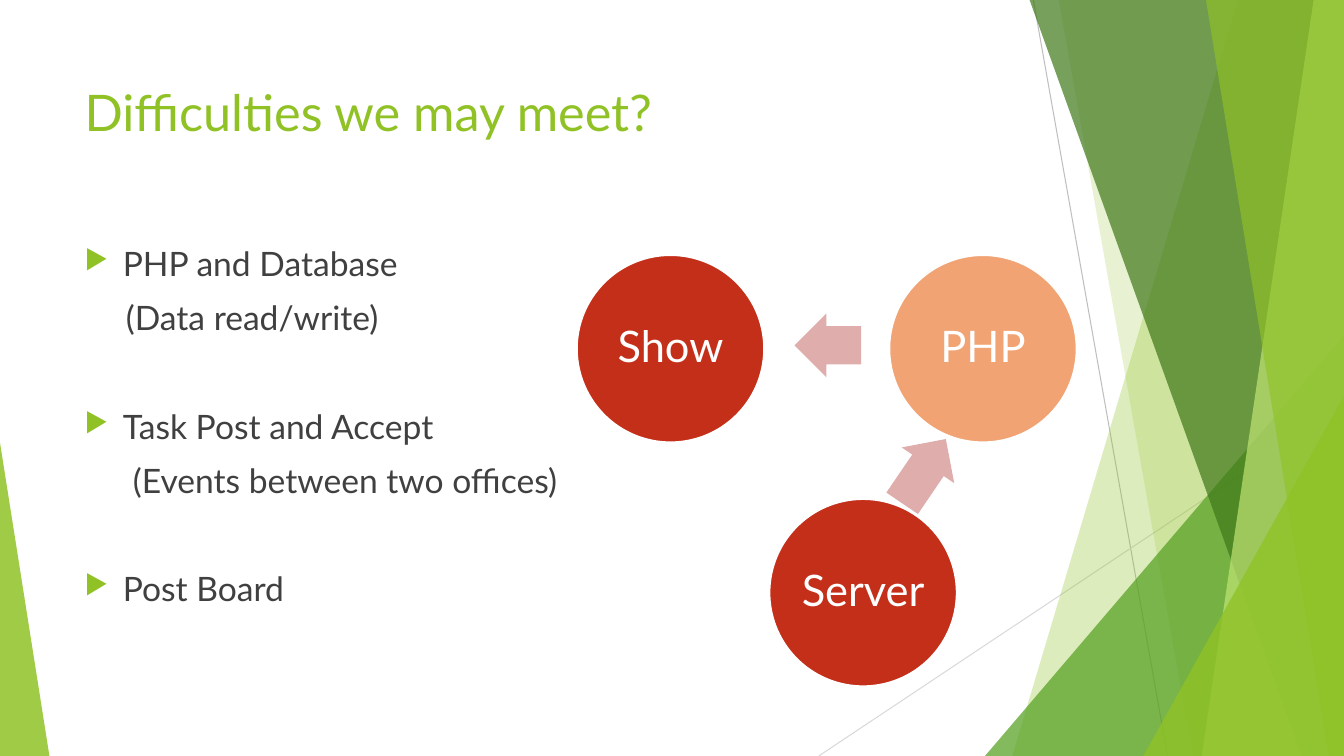
import pptx
import pptx.util
import pptx.dml.color
import pptx.enum.shapes
import pptx.enum.text
import pptx.oxml.ns
from lxml import etree

# Content: every place and length is a percentage of the slide's width or height
FONT = "Lato"
COLOURS = {
    "lime": "90C226", "green": "54A021", "forest": "3F7819", "pale": "C0E474",
    "grey": "BFBFBF", "mist": "D9D9D9", "text": "404040", "white": "FFFFFF",
    "red": "C42F1A", "peach": "F1A374", "rose": "DEADAC",
}
TITLE = "Difficulties we may meet?"
TITLE_BOX = (5.55, 10.13, 70.52, 19.2)
BODY_BOX = (5.55, 31.47, 70.52, 61.6)
# text, has a bullet, indent in inches, points before
BODY = [
    ("PHP and Database", True, 0.38, 10),
    ("(Data read/write)", False, 0.41, 10),
    ("Task Post and Accept", True, 0.38, 48.5),
    ("(Events between two offices)", False, 0.48, 10),
    ("Post Board", True, 0.38, 48.5),
]
# from x, from y, to x, to y, colour
HAIRLINES = [
    (76.89, 0, 86.87, 100, "grey"),
    (100, 53.73, 60.92, 100, "mist"),
]
# Ribbons reach the right edge: left x at the top, left x at the bottom
# Wedges stand on the bottom edge: left, top, width, position of the tip
FACETS = [
    ("ribbon", (92.12, 75.32), "lime", 30),
    ("ribbon", (78.77, 88.75), "lime", 20),
    ("wedge", (73.29, 44.4, 26.71, 1), "green", 72),
    ("ribbon", (76.59, 96.85), "forest", 70),
    ("ribbon", (97.75, 89.42), "pale", 70),
    ("ribbon", (89.72, 98.87), "lime", 65),
    ("wedge", (85.07, 52.4, 14.93, 1), "lime", 80),
    ("wedge", (0, 58.53, 3.68, 0), "lime", 85),
]
DIAMETER = 24.8  # share of the height
# label, centre x, centre y, colour
CIRCLES = [
    ("Server", 64.22, 78.4, "red"),
    ("PHP", 73.14, 46.13, "peach"),
    ("Show", 49.89, 46.13, "red"),
]
# centre x, centre y, width, rotation
ARROWS = [
    (68.75, 62.33, 5.78, 304.2),
    (61.59, 45.67, 4.95, 180),
]
ARROW_HEIGHT = 8.4

deck = pptx.Presentation()
deck.slide_width = pptx.util.Inches(13.33)
deck.slide_height = pptx.util.Inches(7.5)
page = deck.slides.add_slide(deck.slide_layouts[6])
shapes = page.shapes
PRESET = pptx.enum.shapes.MSO_SHAPE
qn = pptx.oxml.ns.qn


def across(share):
    return round(deck.slide_width * share / 100)


def down(share):
    return round(deck.slide_height * share / 100)


def place(left, top, width, height):
    return across(left), down(top), across(width), down(height)


def rgb(name):
    return pptx.dml.color.RGBColor.from_string(COLOURS[name])


def paint(shape, colour, opacity=100):
    shape.shadow.inherit = False
    shape.fill.solid()
    shape.fill.fore_color.rgb = rgb(colour)
    shape.line.fill.background()
    if opacity < 100:
        tint = shape.fill._xPr.find(qn("a:solidFill"))[0]
        etree.SubElement(tint, qn("a:alpha"), val=str(opacity * 1000))


def write(para, text, size, colour, **formats):
    for name, value in formats.items():
        setattr(para, name, value)
    span = para.add_run()
    span.text = text
    for name, value in {"name": FONT, "size": pptx.util.Pt(size)}.items():
        setattr(span.font, name, value)
    span.font.color.rgb = rgb(colour)


def add_text_frame(box):
    frame = shapes.add_textbox(*place(*box)).text_frame
    frame.word_wrap = True
    return frame


def add_bullet(para_format):
    colour = etree.SubElement(para_format, qn("a:buClr"))
    etree.SubElement(colour, qn("a:srgbClr"), val=COLOURS["lime"])
    etree.SubElement(para_format, qn("a:buSzPct"), val="80000")
    etree.SubElement(para_format, qn("a:buChar"), char="▶")


# Hairlines
for start_x, start_y, end_x, end_y, colour in HAIRLINES:
    hairline = shapes.add_connector(
        pptx.enum.shapes.MSO_CONNECTOR.STRAIGHT,
        across(start_x), down(start_y), across(end_x), down(end_y))
    hairline.line.color.rgb = rgb(colour)
    hairline.line.width = pptx.util.Pt(0.75)
    etree.SubElement(hairline._element.spPr, qn("a:effectLst"))

# Translucent facets
for kind, geometry, colour, opacity in FACETS:
    if kind == "ribbon":
        top_x, bottom_x = geometry
        outline = shapes.build_freeform(across(top_x), down(-0.1))
        corners = [(100, -0.1), (100, 100), (bottom_x, 100)]
        outline.add_line_segments([(across(x), down(y)) for x, y in corners])
        facet = outline.convert_to_shape()
    else:
        left, top, width, tip = geometry
        facet = shapes.add_shape(
            PRESET.ISOSCELES_TRIANGLE, *place(left, top, width, 100 - top))
        facet.adjustments[0] = tip
    paint(facet, colour, opacity)

# Title and list
write(add_text_frame(TITLE_BOX).paragraphs[0], TITLE, 36, "lime")
body = add_text_frame(BODY_BOX)
for number, (text, bulleted, indent, before) in enumerate(BODY):
    para = body.add_paragraph() if number else body.paragraphs[0]
    write(para, text, 24, "text", space_before=pptx.util.Pt(before))
    para_format = para._p.get_or_add_pPr()
    margin = pptx.util.Inches(indent)
    para_format.set("marL", str(margin))
    para_format.set("indent", str(-margin if bulleted else 0))
    if bulleted:
        add_bullet(para_format)

# Circles
side = down(DIAMETER)
for label, centre_x, centre_y, colour in CIRCLES:
    circle = shapes.add_shape(
        PRESET.OVAL, across(centre_x) - side // 2, down(centre_y) - side // 2, side, side)
    paint(circle, colour)
    circle.line.color.rgb = rgb("white")
    circle.line.width = pptx.util.Pt(1.5)
    frame = circle.text_frame
    frame.word_wrap = False
    frame.vertical_anchor = pptx.enum.text.MSO_ANCHOR.MIDDLE
    for edge in ("left", "top", "right", "bottom"):
        setattr(frame, f"margin_{edge}", pptx.util.Inches(0.04))
    write(frame.paragraphs[0], label, 31, "white", line_spacing=0.9,
          alignment=pptx.enum.text.PP_ALIGN.CENTER)

# Arrows
for centre_x, centre_y, width, rotation in ARROWS:
    arrow = shapes.add_shape(PRESET.RIGHT_ARROW, *place(
        centre_x - width / 2, centre_y - ARROW_HEIGHT / 2, width, ARROW_HEIGHT))
    arrow.adjustments[0] = 0.6
    arrow.adjustments[1] = 0.5
    arrow.rotation = rotation
    paint(arrow, "rose")

deck.save("out.pptx")
